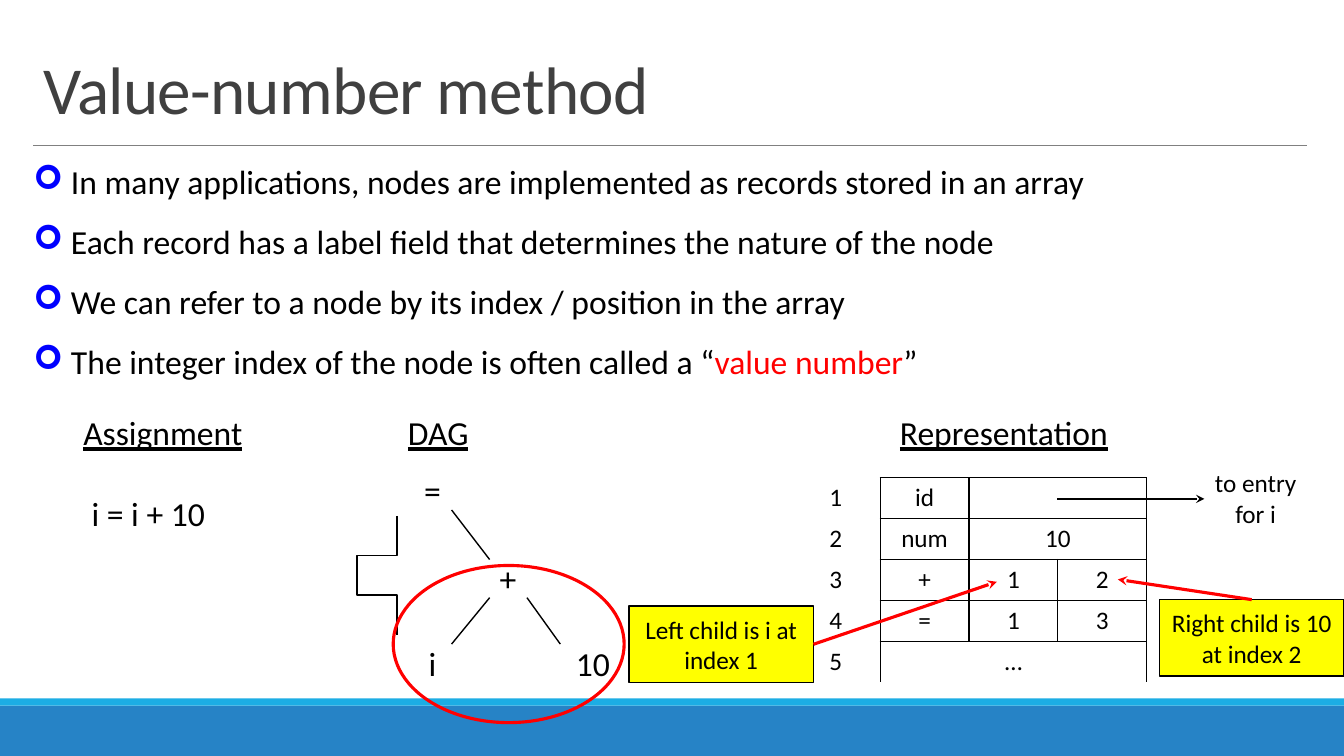
from dataclasses import dataclass

from lxml import etree
from pptx import Presentation
from pptx import util as u
from pptx.dml.color import RGBColor
from pptx.enum import shapes, text
from pptx.oxml import ns


@dataclass(frozen=True)
class Theme:
    """Colours, typeface and type sizes of the slide."""
    font: str = "Calibri"
    ink: str = "000000"
    title_ink: str = "404040"
    paper: str = "FFFFFF"
    rule: str = "808080"
    bullet: str = "0000FF"
    accent: str = "FF0000"
    callout: str = "FFFF00"
    band: str = "2683C6"
    stripe: str = "1CADE4"
    title_size: int = 48
    body_size: int = 24
    small_size: int = 18


def add_xml(parent, tag, **attributes):
    """Append a drawing element and return it."""
    return etree.SubElement(parent, ns.qn(tag), attributes)


def cm(*lengths):
    """Convert centimetres to slide lengths."""
    return [u.Cm(length) for length in lengths]


def bezier(start, first, second, end, steps=16):
    """Return points along a cubic curve, without its start."""
    points = []
    for step in range(1, steps + 1):
        t = step / steps
        weights = ((1 - t) ** 3, 3 * t * (1 - t) ** 2, 3 * t * t * (1 - t), t ** 3)
        corners = (start, first, second, end)
        points.append(tuple(sum(w * c[axis] for w, c in zip(weights, corners))
                            for axis in (0, 1)))
    return points


class SlideBuilder:
    """Draws styled elements on one slide."""

    def __init__(self, page, theme):
        """Keep the slide and its theme."""
        self.page, self.theme = page, theme

    def style(self, para, size, color=None, align=text.PP_ALIGN.LEFT, underline=None):
        """Format every run of a paragraph."""
        para.alignment = align
        for span in para.runs:
            span.font.name = self.theme.font
            span.font.size = u.Pt(size)
            span.font.underline = underline
            span.font.color.rgb = RGBColor.from_string(color or self.theme.ink)

    def outline(self, line, color, width):
        """Set a line's colour and width."""
        line.color.rgb = RGBColor.from_string(color)
        line.width = u.Pt(width)

    def title(self, words, *place):
        """Place and format the title placeholder."""
        box = self.page.shapes.title
        box.left, box.top, box.width, box.height = cm(*place)
        frame = box.text_frame
        frame.text = words
        frame.auto_size = text.MSO_AUTO_SIZE.NONE
        frame.vertical_anchor = text.MSO_ANCHOR.BOTTOM
        para = frame.paragraphs[0]
        para.line_spacing = 0.85
        self.style(para, self.theme.title_size, self.theme.title_ink)
        para.runs[0].font._element.set("spc", "-50")

    def label(self, words, *place, size=None, **looks):
        """Add an unwrapped text box."""
        frame = self.page.shapes.add_textbox(*cm(*place)).text_frame
        frame.word_wrap = False
        frame.text = words
        for para in frame.paragraphs:
            self.style(para, size or self.theme.body_size, **looks)

    def bullets(self, items, *place):
        """Add a bulleted list whose items are (words, colour) runs."""
        frame = self.page.shapes.add_textbox(*cm(*place)).text_frame
        frame.word_wrap = True
        frame.margin_left = frame.margin_right = 0
        for index, item in enumerate(items):
            para = frame.add_paragraph() if index else frame.paragraphs[0]
            para.space_before = u.Pt(12 if index else 0)
            para.space_after = u.Pt(2)
            props = para._p.get_or_add_pPr()
            props.set("marL", str(u.Cm(0.95)))
            props.set("indent", str(-u.Cm(0.95)))
            add_xml(add_xml(props, "a:buClr"), "a:srgbClr", val=self.theme.bullet)
            add_xml(props, "a:buFont", typeface="Wingdings")
            add_xml(props, "a:buChar", char="➢")
            for words, _ in item:
                para.add_run().text = words
            self.style(para, self.theme.body_size)
            for span, (_, color) in zip(para.runs, item):
                span.font.color.rgb = RGBColor.from_string(color)

    def shape(self, kind, *place, fill=None, line=None, width=1.25, words="",
              size=None, tight=False):
        """Add a preset shape with optional fill, outline and text."""
        box = self.page.shapes.add_shape(kind, *cm(*place))
        box.shadow.inherit = False
        if fill:
            box.fill.solid()
            box.fill.fore_color.rgb = RGBColor.from_string(fill)
        else:
            box.fill.background()
        if line:
            self.outline(box.line, line, width)
        else:
            box.line.fill.background()
        if words:
            frame = box.text_frame
            frame.text = words
            frame.word_wrap = not tight
            frame.vertical_anchor = text.MSO_ANCHOR.MIDDLE
            self.style(frame.paragraphs[0], size or self.theme.body_size,
                       align=text.PP_ALIGN.CENTER)
        return box

    def line(self, start, end, color=None, width=1, arrow=False, source=None):
        """Add a line, optionally an arrow joined to a (shape, side) source."""
        link = self.page.shapes.add_connector(
            shapes.MSO_CONNECTOR.STRAIGHT, *cm(*start, *end))
        if source:
            link.begin_connect(*source)
        self.outline(link.line, color or self.theme.ink, width)
        if arrow:
            add_xml(link.line._get_or_add_ln(), "a:tailEnd", type="stealth")
        add_xml(link._element.spPr, "a:effectLst")

    def curve(self, start, *segments):
        """Add an open curve made of cubic segments."""
        points = [start]
        for segment in segments:
            points += bezier(points[-1], *segment)
        pen = self.page.shapes.build_freeform(*points[0], scale=u.Cm(1))
        pen.add_line_segments(points[1:], close=False)
        path = pen.convert_to_shape()
        path.shadow.inherit = False
        path.fill.background()
        self.outline(path.line, self.theme.ink, 1.25)

    def borders(self, cell, sides):
        """Rule the named sides of a cell and clear the others."""
        props = cell._tc.get_or_add_tcPr()
        for side in "LRTB":
            edge = add_xml(props, f"a:ln{side}", w=str(u.Pt(1)))
            if side in sides:
                add_xml(add_xml(edge, "a:solidFill"), "a:srgbClr", val=self.theme.ink)
            else:
                add_xml(edge, "a:noFill")

    def records(self, rows, merges, *place):
        """Add the record array with an unruled index column."""
        table = self.page.shapes.add_table(len(rows), len(rows[0]), *cm(*place)).table
        table.first_row = table.horz_banding = False
        table._tbl.tblPr.find(ns.qn("a:tableStyleId")).text = (
            "{2D5ABB26-0587-4C30-8999-92F81FD0307C}")
        for r, row in enumerate(rows):
            for c, words in enumerate(row):
                cell = table.cell(r, c)
                cell.text = words
                self.style(cell.text_frame.paragraphs[0], self.theme.small_size,
                           align=text.PP_ALIGN.CENTER)
                ruled = "LRT" if r == len(rows) - 1 else "LRTB"
                self.borders(cell, ruled if c else "R")
                cell.fill.background()
        for r, first, last in merges:
            table.cell(r, first).merge(table.cell(r, last))


def main():
    """Build the value-number slide."""
    deck = Presentation()
    deck.slide_width, deck.slide_height = cm(33.87, 19.05)
    theme = Theme()
    draw = SlideBuilder(deck.slides.add_slide(deck.slide_layouts[5]), theme)
    rect, oval = shapes.MSO_SHAPE.RECTANGLE, shapes.MSO_SHAPE.OVAL
    center = text.PP_ALIGN.CENTER

    draw.shape(rect, 0, 17.78, 33.87, 1.27, fill=theme.band)
    draw.shape(rect, 0, 17.6, 33.87, 0.18, fill=theme.stripe)
    draw.line((0.84, 3.66), (32.94, 3.66), theme.rule, 0.5)
    draw.title("Value-number method", 0.84, 0.79, 32.11, 2.57)
    draw.bullets([
        [("In many applications, nodes are implemented as records stored in an array", theme.ink)],
        [("Each record has a label field that determines the nature of the node", theme.ink)],
        [("We can refer to a node by its index / position in the array", theme.ink)],
        [("The integer index of the node is often called a “", theme.ink),
         ("value number", theme.accent), ("”", theme.ink)],
    ], 0.84, 3.94, 32.11, 6.2)

    for heading, left, width in (("Assignment", 1.85, 4.55), ("DAG", 10.03, 2.06),
                                 ("Representation", 22.43, 5.82)):
        draw.label(heading, left, 10.26, width, 1.27, underline=True)
    draw.label("i = i + 10", 2.06, 12.29, 3.38, 1.27)

    for words, left, top, width in (("=", 10.24, 11.66, 1.32), ("+", 12.14, 13.89, 1.32),
                                    ("i", 10.24, 16.03, 1.32), ("10", 13.79, 16.03, 2.31)):
        draw.shape(oval, left, top, width, 1.37, fill=theme.paper, words=words, tight=True)
    for start, end in (((12.34, 14.1), (11.38, 12.85)), ((12.34, 15.06), (11.38, 16.23)),
                       ((14.12, 16.23), (13.28, 15.06))):
        draw.line(start, end)
    draw.curve((10.31, 12.73), ((9.8, 13.18), (9.3, 13.64), (9.3, 14.22)),
               ((9.32, 14.81), (9.88, 15.49), (10.44, 16.21)))

    draw.records([("1", "id", "", ""), ("2", "num", "10", ""), ("3", "+", "1", "2"),
                  ("4", "=", "1", "3"), ("5", "…", "", "")],
                 [(0, 2, 3), (1, 2, 3), (4, 1, 3)], 19.94, 12.04, 8.96, 5.15)
    draw.label("to entry\nfor i", 30.35, 11.66, 2.59, 1.8, size=theme.small_size, align=center)
    draw.line((26.64, 12.57), (30.35, 12.57), arrow=True)

    for words, left, top, side, start, end in (
            ("Left child is i at index 1", 15.85, 15.27, 3, (20.5, 16.24), (25.12, 14.66)),
            ("Right child is 10 at index 2", 29.22, 15.11, 0, (31.55, 15.11), (28.17, 14.6))):
        note = draw.shape(rect, left, top, 4.65, 1.93, fill=theme.callout, line=theme.ink,
                          words=words, size=theme.small_size)
        draw.line(start, end, theme.accent, 2.25, arrow=True, source=(note, side))
    draw.shape(oval, 9.91, 14.25, 5.82, 3.96, line=theme.accent, width=2.25)
    deck.save("out.pptx")


if __name__ == "__main__":
    main()
